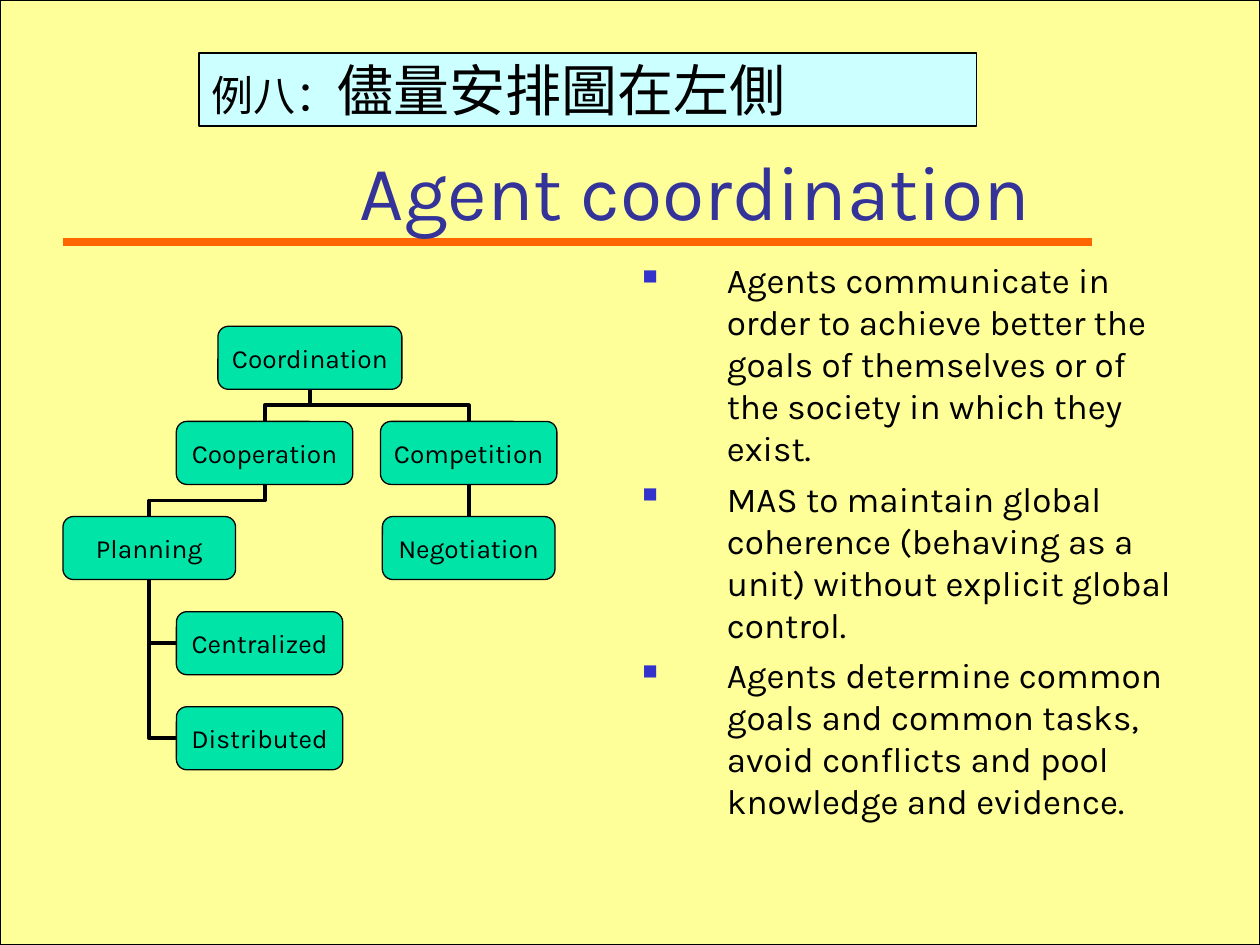
from pptx import Presentation
from pptx.dml.color import RGBColor
from pptx.enum.shapes import MSO_CONNECTOR, MSO_SHAPE
from pptx.enum.text import MSO_ANCHOR, PP_ALIGN
from pptx.oxml.ns import qn
from pptx.util import Inches, Pt
from lxml import etree

RECT, ROUND = MSO_SHAPE.RECTANGLE, MSO_SHAPE.ROUNDED_RECTANGLE
LINE, ELBOW = MSO_CONNECTOR.STRAIGHT, MSO_CONNECTOR.ELBOW
CENTER, LEFT = PP_ALIGN.CENTER, PP_ALIGN.LEFT
MIDDLE, BOTTOM = MSO_ANCHOR.MIDDLE, MSO_ANCHOR.BOTTOM

BLACK = RGBColor(0x00, 0x00, 0x00)
CREAM = RGBColor(0xFF, 0xFF, 0x99)
ORANGE = RGBColor(0xFF, 0x66, 0x00)
NAVY = RGBColor(0x33, 0x33, 0x99)
BLUE = RGBColor(0x33, 0x33, 0xCC)
GREEN = RGBColor(0x00, 0xE4, 0xA8)
AQUA = RGBColor(0xCC, 0xFF, 0xFF)

FONT = "Karla"
COLS, ROWS = 100, 75
NODE = 5

POINTS = [
    "Agents communicate in order to achieve better the goals of themselves "
    "or of the society in which they exist.",
    "MAS to maintain global coherence (behaving as a unit) without explicit "
    "global control.",
    "Agents determine common goals and common tasks, avoid conflicts and pool "
    "knowledge and evidence.",
]
NODES = {
    "Coordination": (12.3, 0, 14.6),
    "Cooperation": (9, 1, 14),
    "Competition": (25.2, 1, 14),
    "Planning": (0, 2, 13.7),
    "Negotiation": (25.35, 2, 13.7),
    "Centralized": (9, 3, 13.2),
    "Distributed": (9, 4, 13.2),
}
LINKS = [
    ("Coordination", "Cooperation"),
    ("Coordination", "Competition"),
    ("Cooperation", "Planning"),
    ("Competition", "Negotiation"),
]
SIDES = [("Planning", "Centralized"), ("Planning", "Distributed")]


def grid(*nums):
    """Turn grid units, a hundredth of the slide's width, into lengths."""
    return [Inches(num / 10) for num in nums]


def write(para, text, size, color=BLACK):
    """Add one run to a paragraph."""
    run = para.add_run()
    run.text = text
    run.font.name = FONT
    run.font.size = Pt(size)
    run.font.color.rgb = color


def panel(slide, kind, box, fill):
    """Add a filled shape with a thin black edge."""
    shape = slide.shapes.add_shape(kind, *grid(*box))
    shape.shadow.inherit = False
    shape.fill.solid()
    shape.fill.fore_color.rgb = fill
    shape.line.color.rgb = BLACK
    shape.line.width = Pt(0.75)
    shape.text_frame.vertical_anchor = MIDDLE
    return shape


def stroke(slide, kind, ends, color=BLACK, width=2.25):
    """Add a plain line or elbow between two points."""
    line = slide.shapes.add_connector(kind, *grid(*ends))
    line.line.color.rgb = color
    line.line.width = Pt(width)
    etree.SubElement(line.element.spPr, qn("a:effectLst"))
    return line


def turn(line, angle):
    """Rotate a connector by whole degrees."""
    line.element.spPr.find(qn("a:xfrm")).set("rot", str(angle * 60000))


def drop(slide, start, end):
    """Link a parent's foot to a child's head, down, across and down."""
    (ax, ay), (bx, by) = start, end
    if abs(ax - bx) < 0.01:
        stroke(slide, LINE, (ax, ay, bx, by))
        return
    midx, midy = (ax + bx) / 2, (ay + by) / 2
    wide, high = (by - ay) / 2, (ax - bx) / 2
    ends = (midx - wide, midy - high, midx + wide, midy + high)
    turn(stroke(slide, ELBOW, ends), 90)


def hook(slide, start, end):
    """Link a parent's foot to a child's left side, down and across."""
    line = stroke(slide, ELBOW, (*start, *end))
    line.element.spPr.find(qn("a:prstGeom")).set("prst", "bentConnector2")
    turn(line, 180)


def tree(slide, box):
    """Draw the coordination tree in evenly spaced rows."""
    left, top, _, high = box
    step = (high - NODE) / 4
    spots = {name: (left + col, top + row * step, wide, NODE)
             for name, (col, row, wide) in NODES.items()}

    def foot(name):
        """Return the middle of a node's lower edge."""
        x, y, wide, tall = spots[name]
        return x + wide / 2, y + tall

    for up, low in SIDES:
        x, y, _, tall = spots[low]
        hook(slide, foot(up), (x, y + tall / 2))
    for up, low in LINKS:
        x, y = foot(low)
        drop(slide, foot(up), (x, y - NODE))
    for name, spot in spots.items():
        frame = panel(slide, ROUND, spot, GREEN).text_frame
        frame.word_wrap = False
        para = frame.paragraphs[0]
        para.alignment = CENTER
        write(para, name, 15)


def title(slide, box):
    """Place the heading at the foot of its box, over the orange rule."""
    left, top, wide, high = box
    foot = top + high
    stroke(slide, LINE, (COLS / 20, foot, 86.7, foot), ORANGE, 4.5)
    frame = slide.shapes.add_textbox(*grid(*box)).text_frame
    frame.word_wrap = True
    frame.vertical_anchor = BOTTOM
    para = frame.paragraphs[0]
    para.alignment = CENTER
    write(para, "Agent coordination", 44, NAVY)


def bullet(para):
    """Give a paragraph a small blue square and a hanging indent."""
    props = para._p.get_or_add_pPr()
    hang = Inches(0.67)
    props.set("marL", str(hang))
    props.set("indent", str(-hang))
    color = etree.SubElement(props, qn("a:buClr"))
    etree.SubElement(color, qn("a:srgbClr")).set("val", str(BLUE))
    etree.SubElement(props, qn("a:buSzPct")).set("val", "60000")
    etree.SubElement(props, qn("a:buChar")).set("char", "■")


def points(slide, box):
    """List the bullet points."""
    frame = slide.shapes.add_textbox(*grid(*box)).text_frame
    frame.word_wrap = True
    for num, text in enumerate(POINTS):
        para = frame.add_paragraph() if num else frame.paragraphs[0]
        bullet(para)
        if num:
            para.space_before = Pt(5)
        write(para, text, 20)


def banner(slide, box):
    """Place the example label."""
    frame = panel(slide, RECT, box, AQUA).text_frame
    frame.word_wrap = True
    para = frame.paragraphs[0]
    para.alignment = LEFT
    write(para, "例八：", 24)
    write(para, "儘量安排圖在左側", 32)


def main():
    """Build and save the slide."""
    deck = Presentation()
    deck.slide_width, deck.slide_height = grid(COLS, ROWS)
    slide = deck.slides.add_slide(deck.slide_layouts[6])
    panel(slide, RECT, (0, 0, COLS, ROWS), CREAM)
    title(slide, (12.6, 6.7, 85.2, 12.5))
    points(slide, (COLS / 2, 20, 44.1, 49.5))
    tree(slide, (5, 25.9, 39.2, 35.2))
    banner(slide, (15.8, 4.2, 61.7, 5.8))
    deck.save("out.pptx")


if __name__ == "__main__":
    main()
